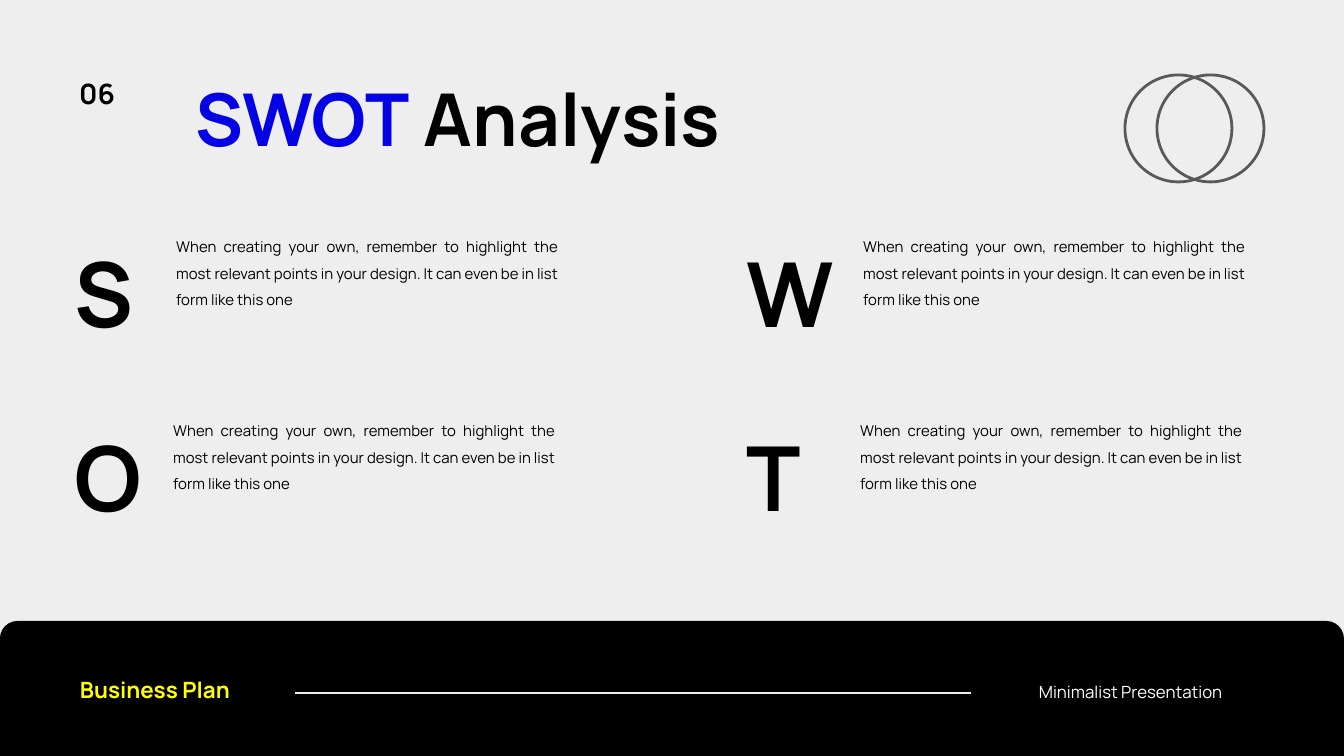
from itertools import product

from lxml import etree
from pptx import Presentation, util as u
from pptx.dml.color import RGBColor
from pptx.enum import shapes, text
from pptx.oxml.ns import qn


class Theme:
    font = "Manrope"
    paper, black, white = "EEEEEE", "000000", "FFFFFF"
    blue, yellow, grey = "0401E4", "FFFF00", "595959"
    title, letter, number, brand, caption, body = 39, 48, 15, 12, 9, 8


def px(length):
    return u.Emu(round(length * 914400 / 134.4))


def rgb(color):
    return RGBColor.from_string(color)


def write(frame, *parts, size, bold=False, spacing=None, align=text.PP_ALIGN.LEFT, inset=0):
    """Fill a frame with one paragraph made of (words, color) parts."""
    frame.word_wrap = True
    frame.auto_size = text.MSO_AUTO_SIZE.SHAPE_TO_FIT_TEXT
    frame.vertical_anchor = text.MSO_ANCHOR.TOP
    frame.margin_left = frame.margin_right = px(inset)
    frame.margin_top = frame.margin_bottom = px(inset)
    para = frame.paragraphs[0]
    para.alignment = align
    para.line_spacing = spacing
    for words, color in parts:
        span = para.add_run()
        span.text = words
        span.font.name = Theme.font
        span.font.size = u.Pt(size)
        span.font.bold = bold
        span.font.color.rgb = rgb(color)


class Painter:
    def __init__(self, page):
        self.page = page
        page.background.fill.solid()
        page.background.fill.fore_color.rgb = rgb(Theme.paper)

    def title(self, left, top, width, height, *parts, **style):
        box = self.page.shapes.title
        box.left, box.top, box.width, box.height = map(px, (left, top, width, height))
        write(box.text_frame, *parts, **style)

    def label(self, left, top, width, height, words, color=Theme.black, **style):
        box = self.page.shapes.add_textbox(*map(px, (left, top, width, height)))
        write(box.text_frame, (words, color), **style)

    def shape(self, kind, left, top, width, height, fill=None, line=None, weight=1.5):
        box = self.page.shapes.add_shape(kind, *map(px, (left, top, width, height)))
        box.shadow.inherit = False
        if fill:
            box.fill.solid()
            box.fill.fore_color.rgb = rgb(fill)
        else:
            box.fill.background()
        if line:
            box.line.color.rgb = rgb(line)
            box.line.width = u.Pt(weight)
        else:
            box.line.fill.background()
        return box

    def rule(self, left, right, y, color, weight):
        line = self.page.shapes.add_connector(
            shapes.MSO_CONNECTOR.STRAIGHT, px(left), px(y), px(right), px(y))
        line.line.color.rgb = rgb(color)
        line.line.width = u.Pt(weight)
        etree.SubElement(line._element.spPr, qn("a:effectLst"))


deck = Presentation()
deck.slide_width, deck.slide_height = px(1344), px(756)
painter = Painter(deck.slides.add_slide(deck.slide_layouts[5]))

# Header
painter.label(66, 63, 67, 60, "06", size=Theme.number, bold=True, inset=13.44)
painter.title(196, 91, 655, 71, ("SWOT", Theme.blue), (" Analysis", Theme.black),
              size=Theme.title, bold=True, spacing=0.8)
for left in (1125, 1157):
    painter.shape(shapes.MSO_SHAPE.OVAL, left, 75, 107, 107, line=Theme.grey)

# Footer
band = painter.shape(shapes.MSO_SHAPE.ROUND_2_SAME_RECTANGLE, 0, 621, 1344, 135, fill=Theme.black)
band.adjustments[0] = 0.13
painter.label(80, 676, 200, 27, "Business Plan", Theme.yellow, size=Theme.brand, bold=True)
painter.label(1039, 682, 300, 21, "Minimalist Presentation", Theme.white, size=Theme.caption)
painter.rule(295, 971, 693, Theme.paper, 0.75)

# SWOT grid: a large letter and its text in each quadrant
ADVICE = ("When creating your own, remember to highlight the most relevant points "
          "in your design. It can even be in list form like this one")
for letter, (row, column) in zip("SWOT", product(range(2), repeat=2)):
    drop = 184 * row
    painter.label(75 + 672 * column, 259 + drop, 149, 87, letter,
                  size=Theme.letter, bold=True, spacing=0.8)
    painter.label(163 + 687 * column - 3 * row, 215 + drop, 409, 99, ADVICE, size=Theme.body,
                  spacing=1.5, align=text.PP_ALIGN.JUSTIFY, inset=13.44)

deck.save("out.pptx")
